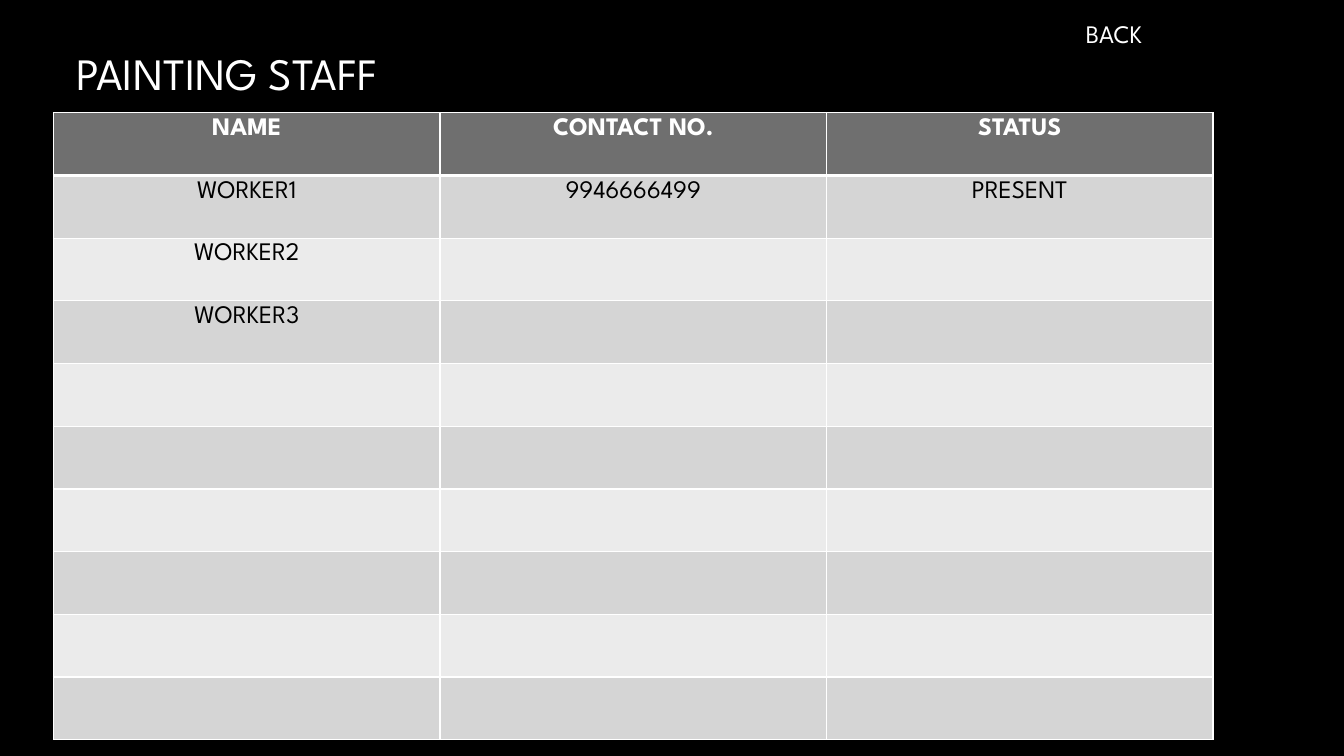
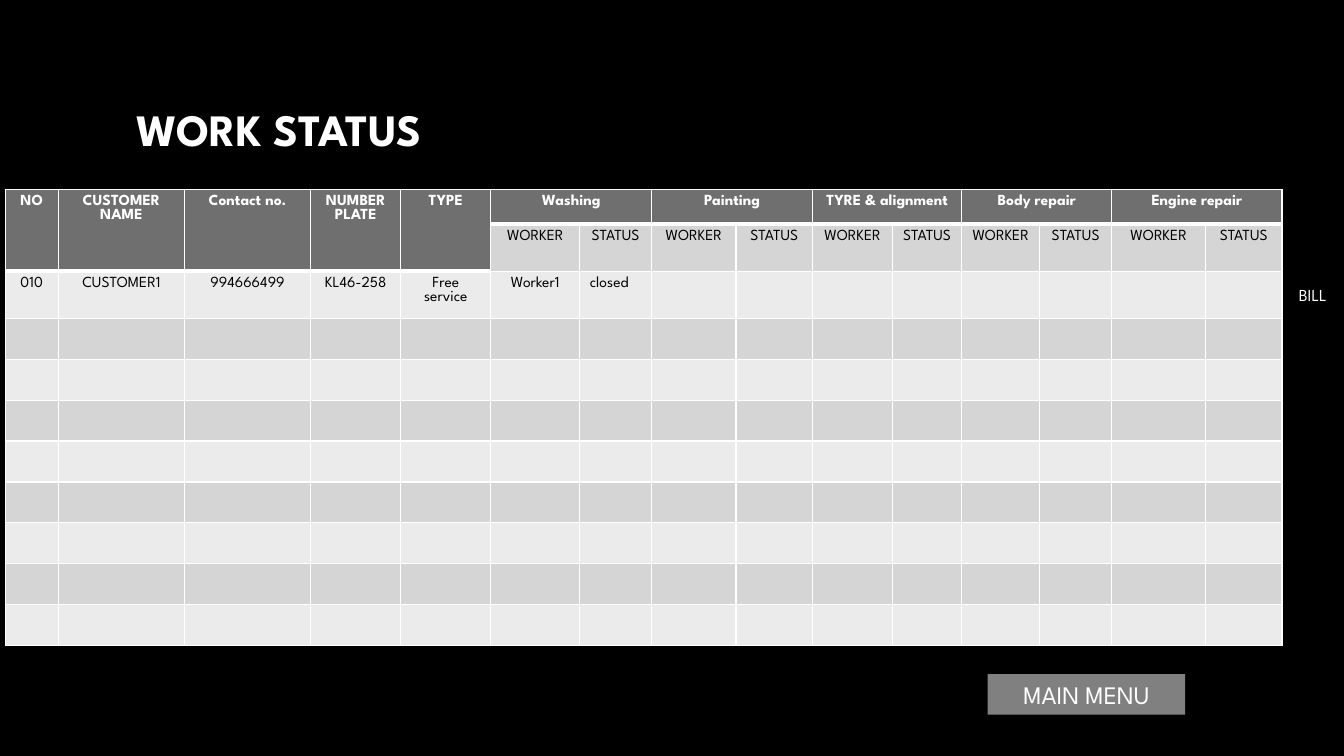
from dataclasses import dataclass

from lxml import etree
from pptx import Presentation
from pptx import util as u
from pptx.dml.color import RGBColor
from pptx.enum import shapes, text
from pptx.oxml import ns

WHITE = RGBColor(0xFF, 0xFF, 0xFF)
BLACK = RGBColor(0x00, 0x00, 0x00)
GREY = RGBColor(0x80, 0x80, 0x80)
HEADER = RGBColor(0x6F, 0x6F, 0x6F)
BAND_DARK = RGBColor(0xD5, 0xD5, 0xD5)
BAND_LIGHT = RGBColor(0xEB, 0xEB, 0xEB)
FONT = "League Spartan"
THIN, THICK = u.Pt(1), u.Pt(3)
CENTER, LEFT = text.PP_ALIGN.CENTER, text.PP_ALIGN.LEFT


@dataclass(frozen=True)
class Frame:
    """Place and size in centimetres."""
    left: float
    top: float
    width: float
    height: float

    def lengths(self) -> list:
        return [u.Cm(v) for v in (self.left, self.top, self.width, self.height)]


@dataclass(frozen=True)
class Button:
    label: str
    frame: Frame
    size: int
    fill: RGBColor


@dataclass(frozen=True)
class Grid:
    left: float
    top: float
    columns: list[float]
    rows: list[float]
    size: int
    values: list[list[str]]
    tall_headers: int = 0  # leading headers that span two rows
    left_aligned: tuple[str, ...] = ()

    def is_header(self, row: int, column: int) -> bool:
        return row == 0 or (row == 1 and column < self.tall_headers)


def write(paragraph, words: str, align, size: int, color: RGBColor, bold: bool = False) -> None:
    paragraph.alignment = align
    span = paragraph.add_run()
    span.text = words
    style = {"name": FONT, "size": u.Pt(size), "bold": bold}
    for name, value in style.items():
        setattr(span.font, name, value)
    span.font.color.rgb = color


def add_title(page, words: str, frame: Frame, bold: bool = False) -> None:
    box = page.shapes.add_textbox(*frame.lengths())
    box.text_frame.word_wrap = True
    box.text_frame.vertical_anchor = text.MSO_ANCHOR.MIDDLE
    write(box.text_frame.paragraphs[0], words, LEFT, 32, WHITE, bold)


def add_button(page, button: Button) -> None:
    box = page.shapes.add_shape(shapes.MSO_SHAPE.RECTANGLE, *button.frame.lengths())
    box.shadow.inherit = False
    box.fill.solid()
    box.fill.fore_color.rgb = button.fill
    box.line.fill.background()
    box.text_frame.word_wrap = True
    box.text_frame.vertical_anchor = text.MSO_ANCHOR.MIDDLE
    write(box.text_frame.paragraphs[0], button.label, CENTER, button.size, WHITE)


def set_borders(cell, top: int, bottom: int) -> None:
    properties = cell._tc.get_or_add_tcPr()
    widths = {"a:lnL": THIN, "a:lnR": THIN, "a:lnT": top, "a:lnB": bottom}
    for index, (tag, width) in enumerate(widths.items()):
        line = etree.Element(ns.qn(tag), w=str(int(width)))
        fill = etree.SubElement(line, ns.qn("a:solidFill"))
        etree.SubElement(fill, ns.qn("a:srgbClr"), val=str(WHITE))
        properties.insert(index, line)


def style_cell(cell, grid: Grid, row: int, column: int, words: str) -> None:
    header = grid.is_header(row, column)
    below_header = row > 0 and not header and grid.is_header(row - 1, column)
    cell.fill.solid()
    cell.fill.fore_color.rgb = HEADER if header else (BAND_DARK if row % 2 else BAND_LIGHT)
    set_borders(cell, THICK if below_header else THIN, THICK if header else THIN)
    paragraph = cell.text_frame.paragraphs[0]
    if words:
        align = LEFT if words in grid.left_aligned else CENTER
        write(paragraph, words, align, grid.size, WHITE if header else BLACK, header)
    else:
        # An empty cell keeps the text size, so its row does not grow
        etree.SubElement(paragraph._p, ns.qn("a:endParaRPr"), sz=str(grid.size * 100))


def add_grid(page, grid: Grid) -> None:
    frame = Frame(grid.left, grid.top, sum(grid.columns), sum(grid.rows))
    table = page.shapes.add_table(len(grid.rows), len(grid.columns), *frame.lengths()).table
    for column, width in zip(table.columns, grid.columns):
        column.width = u.Cm(width)
    for row, height in zip(table.rows, grid.rows):
        row.height = u.Cm(height)
    for r in range(len(grid.rows)):
        values = grid.values[r] if r < len(grid.values) else []
        for c in range(len(grid.columns)):
            style_cell(table.cell(r, c), grid, r, c, values[c] if c < len(values) else "")
    # Two-row headers first, then a pair of columns for each task
    if grid.tall_headers:
        for c in range(grid.tall_headers):
            table.cell(0, c).merge(table.cell(1, c))
        for c in range(grid.tall_headers, len(grid.columns), 2):
            table.cell(0, c).merge(table.cell(0, c + 1))


STAFF = Grid(
    left=1.35, top=2.84, columns=[9.74] * 3, rows=[1.58] * 10, size=18,
    values=[
        ["NAME", "CONTACT NO.", "STATUS"],
        ["WORKER1", "9946666499", "PRESENT"],
        ["WORKER2"],
        ["WORKER3"],
    ],
)

DETAILS = ["NO", "CUSTOMER NAME", "Contact no.", "NUMBER PLATE", "TYPE"]
TASKS = ["Washing", "Painting", "TYRE & alignment", "Body repair", "Engine repair"]
WORK = Grid(
    left=0.13, top=4.78, size=11,
    columns=[1.34, 3.18, 3.18, 2.27, 2.27, 2.24, 1.81, 2.13, 1.93, 2.01,
             1.75, 1.96, 1.82, 2.36, 1.93],
    rows=[0.87, 0.99, 0.96] + [1.03] * 8,
    values=[
        DETAILS + [words for task in TASKS for words in (task, "")],
        [""] * len(DETAILS) + ["WORKER", "STATUS"] * len(TASKS),
        ["010", "CUSTOMER1", "994666499", "KL46-258", "Free service", "Worker1", "closed"],
    ],
    tall_headers=len(DETAILS), left_aligned=("closed",),
)

BACK = Button("BACK", Frame(26.26, 0.33, 3.63, 1.02), 18, BLACK)
MAIN_MENU = Button("MAIN MENU", Frame(24.89, 16.99, 4.98, 1.02), 18, GREY)
BILL = Button("BILL", Frame(32.41, 7.04, 1.35, 0.76), 12, BLACK)


def main() -> None:
    deck = Presentation()
    deck.slide_width, deck.slide_height = u.Cm(33.87), u.Cm(19.05)
    backdrop = deck.slide_master.background.fill
    backdrop.solid()
    backdrop.fore_color.rgb = BLACK
    blank = deck.slide_layouts[6]

    # Painting staff
    page = deck.slides.add_slide(blank)
    add_title(page, "PAINTING STAFF", Frame(1.68, 0, 29.21, 3.68))
    add_grid(page, STAFF)
    add_button(page, BACK)

    # Work status
    page = deck.slides.add_slide(blank)
    add_title(page, "WORK STATUS", Frame(3.18, 1.7, 16.81, 3.1), bold=True)
    add_grid(page, WORK)
    for button in (MAIN_MENU, BILL):
        add_button(page, button)

    deck.save("out.pptx")


if __name__ == "__main__":
    main()
